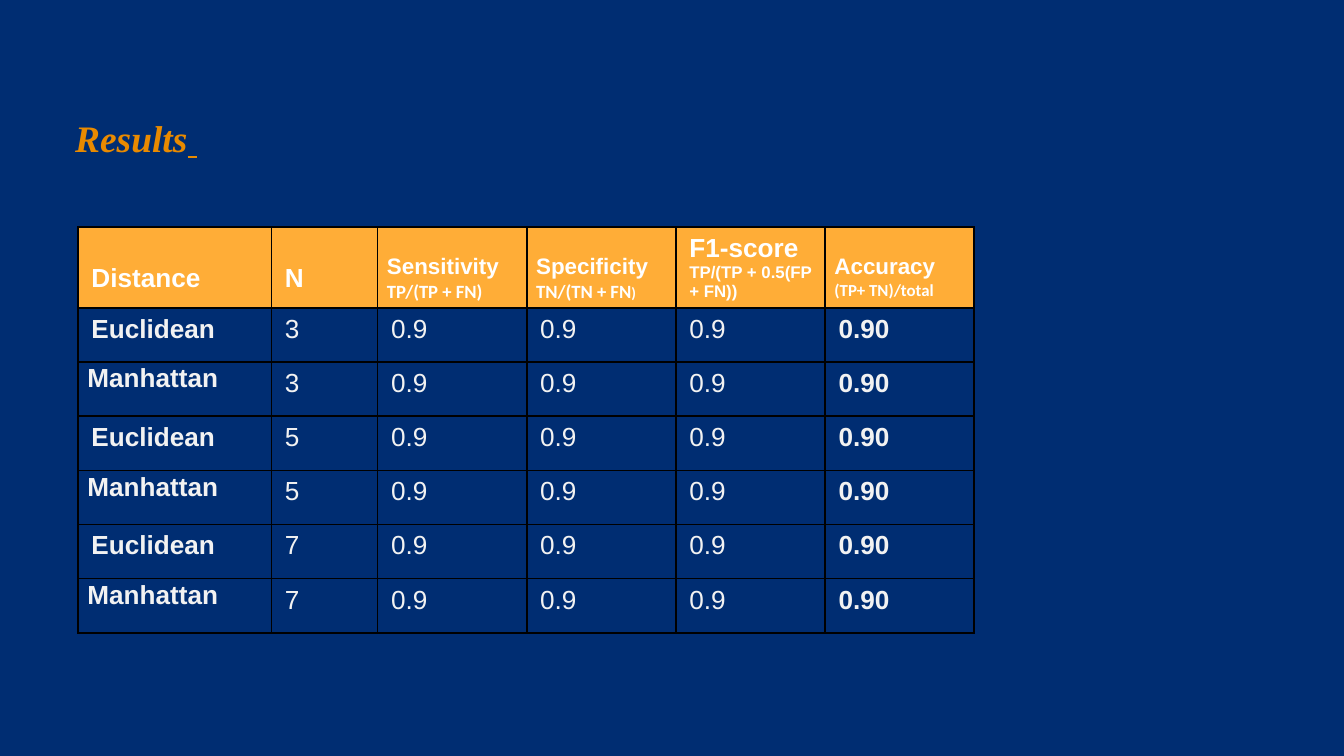
from dataclasses import dataclass
from lxml.etree import SubElement
from pptx import Presentation
from pptx.dml.color import RGBColor
from pptx.enum.text import MSO_ANCHOR, MSO_AUTO_SIZE, PP_ALIGN
from pptx.oxml.ns import qn
from pptx.util import Inches, Pt


@dataclass(frozen=True)
class Theme:
    navy: str = "002D72"
    amber: str = "FFAD37"
    gold: str = "E98A00"
    white: str = "FFFFFF"
    pale: str = "F2F2F2"
    rule: str = "000000"
    sans: str = "Arial"
    narrow: str = "Calibri"
    serif: str = "Times New Roman"
    title: int = 20
    body: int = 14
    label: int = 12
    formula: int = 10
    small: int = 9
    tiny: int = 8


THEME = Theme()
PAGE_WIDTH = 10
PAGE_HEIGHT = PAGE_WIDTH * 9 / 16
ROOMY = (0.1, 0.05)
TIGHT = (0.07, 0)
ROOMY_LOW = (0.1, 0.27)
TIGHT_LOW = (0.07, 0.19)

HEADERS = [
    (ROOMY_LOW, [[("Distance", THEME.body, THEME.sans)]]),
    (ROOMY_LOW, [[("N", THEME.body, THEME.sans)]]),
    (TIGHT_LOW, [[("Sensitivity", THEME.label, THEME.sans)],
                 [("TP/(TP + FN)", THEME.formula, THEME.narrow)]]),
    (TIGHT_LOW, [[("Specificity", THEME.label, THEME.sans)],
                 [("TN/(TN + FN", THEME.formula, THEME.narrow),
                  (")", THEME.tiny, THEME.narrow)]]),
    (ROOMY, [[("F1-score", THEME.body, THEME.sans)],
             [("TP/(TP + 0.5(FP + FN))", THEME.small, THEME.sans)]]),
    (TIGHT_LOW, [[("Accuracy", THEME.label, THEME.sans)],
                 [("(TP+ TN)/total", THEME.small, THEME.narrow)]]),
]
RESULTS = [
    (distance, neighbours, "0.9", "0.9", "0.9", "0.90")
    for neighbours in ("3", "5", "7")
    for distance in ("Euclidean", "Manhattan")
]
TABLE_HEIGHT = 3.02
HEADER_HEIGHT = 0.6
COLUMN_WIDTHS = [1.44, 0.79] + [1.11] * 4
ROW_HEIGHTS = [HEADER_HEIGHT] + [(TABLE_HEIGHT - HEADER_HEIGHT) / len(RESULTS)] * len(RESULTS)
BOLD_COLUMNS = (0, len(COLUMN_WIDTHS) - 1)


def add_span(para, text, size, font, color, bold):
    span = para.add_run()
    span.text = text
    span.font.size = Pt(size)
    span.font.name = font
    span.font.bold = bold
    span.font.color.rgb = RGBColor.from_string(color)
    return span


def add_borders(cell):
    properties = cell._tc.get_or_add_tcPr()
    for side in ("lnL", "lnR", "lnT", "lnB"):
        line = SubElement(properties, qn(f"a:{side}"), w=str(Pt(1)))
        fill = SubElement(line, qn("a:solidFill"))
        SubElement(fill, qn("a:srgbClr"), val=THEME.rule)


def fill_cell(cell, inset, lines, color, bold, background=None):
    add_borders(cell)
    if background:
        cell.fill.solid()
        cell.fill.fore_color.rgb = RGBColor.from_string(background)
    else:
        cell.fill.background()
    side, top = inset
    cell.margin_left = cell.margin_right = Inches(side)
    cell.margin_top = Inches(top)
    cell.margin_bottom = Inches(0.05 if side == ROOMY[0] else 0)
    cell.vertical_anchor = MSO_ANCHOR.TOP
    frame = cell.text_frame
    for index, spans in enumerate(lines):
        para = frame.add_paragraph() if index else frame.paragraphs[0]
        if side == TIGHT[0]:
            para.line_spacing = 1.07
        for text, size, font in spans:
            add_span(para, text, size, font, color, bold)


def add_title(page):
    box = page.shapes.title
    box.left, box.top = Inches(0.46), Inches(0.76)
    box.width, box.height = Inches(4.33), Inches(0.68)
    frame = box.text_frame
    frame.word_wrap = True
    frame.auto_size = MSO_AUTO_SIZE.NONE
    frame.vertical_anchor = MSO_ANCHOR.TOP
    frame.margin_left = frame.margin_right = Inches(0.1)
    frame.margin_top = frame.margin_bottom = Inches(0.1)
    para = frame.paragraphs[0]
    para.alignment = PP_ALIGN.LEFT
    for text, underlined in (("Results", False), (" ", True)):
        span = add_span(para, text, THEME.title, THEME.serif, THEME.gold, True)
        span.font.italic = True
        span.font.underline = underlined


def add_results(page):
    table = page.shapes.add_table(
        len(ROW_HEIGHTS), len(COLUMN_WIDTHS), Inches(0.58), Inches(1.69),
        Inches(sum(COLUMN_WIDTHS)), Inches(TABLE_HEIGHT)).table
    table.first_row = table.horz_banding = False
    for column, width in zip(table.columns, COLUMN_WIDTHS):
        column.width = Inches(width)
    for row, height in zip(table.rows, ROW_HEIGHTS):
        row.height = Inches(height)
    for column, (inset, lines) in enumerate(HEADERS):
        fill_cell(table.cell(0, column), inset, lines, THEME.white, True, THEME.amber)
    for row, values in enumerate(RESULTS, 1):
        for column, value in enumerate(values):
            inset = TIGHT if value == "Manhattan" else ROOMY
            fill_cell(table.cell(row, column), inset,
                      [[(value, THEME.body, THEME.sans)]],
                      THEME.pale, column in BOLD_COLUMNS)


def main():
    deck = Presentation()
    deck.slide_width, deck.slide_height = Inches(PAGE_WIDTH), Inches(PAGE_HEIGHT)
    page = deck.slides.add_slide(deck.slide_layouts[5])
    page.background.fill.solid()
    page.background.fill.fore_color.rgb = RGBColor.from_string(THEME.navy)
    add_results(page)
    add_title(page)
    deck.save("out.pptx")


if __name__ == "__main__":
    main()
